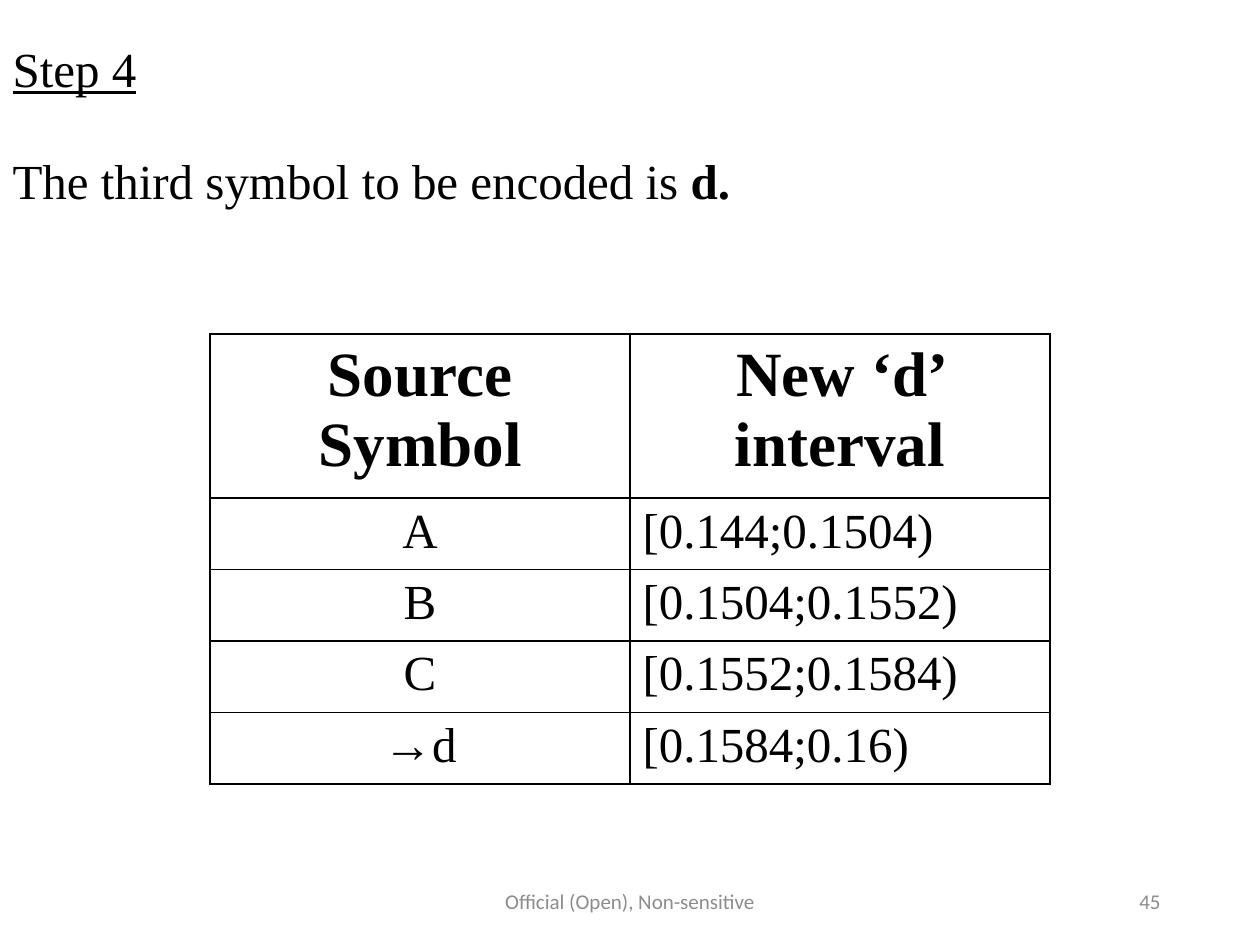
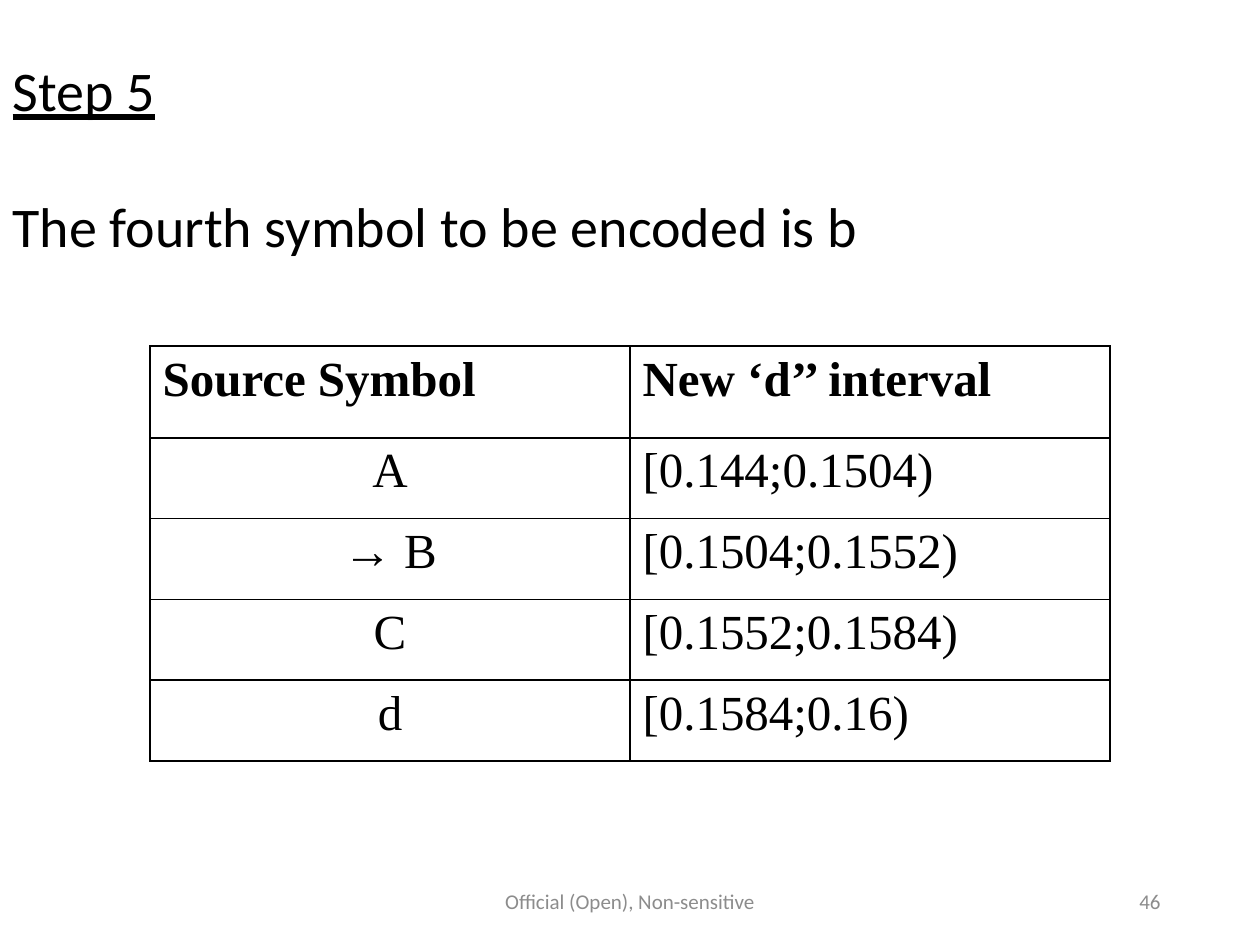
from pptx import Presentation
from pptx import util as u
from pptx.dml.color import RGBColor
from pptx.enum import text
from pptx.oxml.ns import qn
from lxml import etree

PX = 914400 / 126  # EMU in one px
WIDTH, HEIGHT = 1260, 945
BLACK, WHITE, GREY = "000000", "FFFFFF", "8C8C8C"
SERIF, SANS = "Times New Roman", "Calibri"
LEFT, CENTER, RIGHT = text.PP_ALIGN.LEFT, text.PP_ALIGN.CENTER, text.PP_ALIGN.RIGHT


def px(n):
    return u.Emu(round(n * PX))


def rgb(code):
    return RGBColor.from_string(code)


def write(p, words, font=SERIF, size=28, color=BLACK, bold=False,
          underline=False, align=LEFT):
    """Add one formatted run to paragraph p."""
    p.alignment = align
    r = p.add_run()
    r.text = words
    r.font.name, r.font.size = font, u.Pt(size)
    r.font.bold, r.font.underline = bold, underline
    r.font.color.rgb = rgb(color)


class Deck:
    """Holds the shared style and the current slide."""

    def __init__(self):
        self.prs = Presentation()
        self.prs.slide_width, self.prs.slide_height = px(WIDTH), px(HEIGHT)
        self.slide = None

    def new_slide(self, number):
        self.slide = self.prs.slides.add_slide(self.prs.slide_layouts[1])
        self.footer(417, 426, "Official (Open), Non-sensitive", CENTER)
        self.footer(890, 283, str(number), RIGHT)

    def footer(self, x, w, words, align):
        sp = self.slide.shapes.add_textbox(px(x), px(876), px(w), px(50))
        tf = sp.text_frame
        tf.word_wrap = True
        tf.vertical_anchor = text.MSO_ANCHOR.MIDDLE
        write(tf.paragraphs[0], words, font=SANS, size=12, color=GREY, align=align)

    def placeholder(self, index, y, h):
        """Place a full-width placeholder and return its plain first paragraph."""
        sp = self.slide.placeholders[index]
        sp.left, sp.top, sp.width, sp.height = px(0), px(y), px(WIDTH), px(h)
        tf = sp.text_frame
        tf.word_wrap = True
        tf.auto_size = text.MSO_AUTO_SIZE.NONE
        tf.vertical_anchor = text.MSO_ANCHOR.TOP
        p = tf.paragraphs[0]
        pPr = p._p.get_or_add_pPr()
        pPr.set("marL", "0")
        pPr.set("indent", "0")
        etree.SubElement(pPr, qn("a:buNone"))
        p.space_before = u.Pt(0)
        return p

    def heading(self, y, line, title, sentence, key="", **style):
        """Underlined title, a gap of one line, then the sentence."""
        write(self.placeholder(0, y, line + 13), title, underline=True, **style)
        p = self.placeholder(1, y + 2 * line, line + 13)
        write(p, sentence, **style)
        if key:
            write(p, key, bold=True, **style)

    def border(self, cell):
        tcPr = cell._tc.get_or_add_tcPr()
        for i, side in enumerate(("lnL", "lnR", "lnT", "lnB")):
            ln = etree.Element(qn(f"a:{side}"), w=str(u.Pt(1)))
            fill = etree.SubElement(ln, qn("a:solidFill"))
            etree.SubElement(fill, qn("a:srgbClr"), val=BLACK)
            tcPr.insert(i, ln)

    def table(self, y, w, h, header_h, rows, **header_style):
        """Centred table with a taller header and equal rows below it."""
        frame = self.slide.shapes.add_table(
            len(rows), 2, px((WIDTH - w) / 2), px(y), px(w), px(h))
        tbl = frame.table
        tbl.first_row = tbl.horz_banding = False
        for i, row in enumerate(rows):
            tbl.rows[i].height = px(header_h if i == 0 else (h - header_h) / (len(rows) - 1))
            for j, words in enumerate(row):
                cell = tbl.cell(i, j)
                cell.fill.solid()
                cell.fill.fore_color.rgb = rgb(WHITE)
                self.border(cell)
                style = header_style if i == 0 else {"align": (CENTER, LEFT)[j]}
                write(cell.text_frame.paragraphs[0], words, bold=i == 0, **style)


INTERVALS = ["[0.144;0.1504)", "[0.1504;0.1552)", "[0.1552;0.1584)", "[0.1584;0.16)"]


def main():
    deck = Deck()

    # Step 4: third symbol
    deck.new_slide(45)
    deck.heading(32, 56, "Step 4", "The third symbol to be encoded is ", "d.")
    rows = [("Source Symbol", "New ‘d’ interval"), *zip(["A", "B", "C", "→d"], INTERVALS)]
    deck.table(334, 840, 450, 164, rows, size=36, align=CENTER)

    # Step 5: fourth symbol
    deck.new_slide(46)
    deck.heading(49, 68, "Step 5", "The fourth symbol to be encoded is b",
                 font=SANS, size=32)
    rows = [("Source Symbol", "New ‘d’’ interval"), *zip(["A", "→ B", "C", "d"], INTERVALS)]
    deck.table(346, 960, 415, 92, rows)

    deck.prs.save("out.pptx")


if __name__ == "__main__":
    main()
